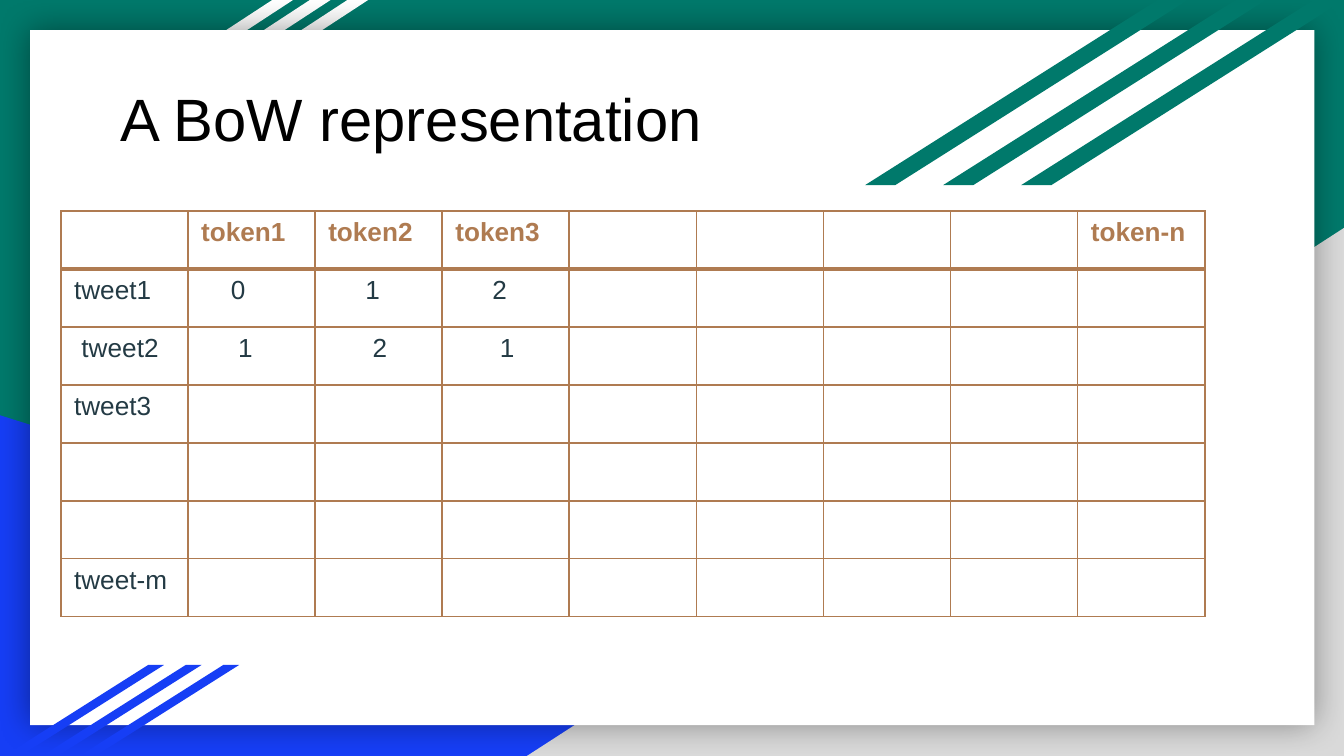
from lxml import etree
from pptx import Presentation
from pptx.dml.color import RGBColor
from pptx.enum.shapes import MSO_SHAPE
from pptx.oxml.ns import qn
from pptx.util import Cm, Pt

TRIANGLE = MSO_SHAPE.RIGHT_TRIANGLE
PARALLELOGRAM = MSO_SHAPE.PARALLELOGRAM
RECTANGLE = MSO_SHAPE.RECTANGLE

GREEN = RGBColor(0x00, 0x79, 0x6B)
BLUE = RGBColor(0x16, 0x3E, 0xF5)
GREY = RGBColor(0xD9, 0xD9, 0xD9)
WHITE = RGBColor(0xFF, 0xFF, 0xFF)
BLACK = RGBColor(0x00, 0x00, 0x00)
BROWN = RGBColor(0xAF, 0x7B, 0x51)
SLATE = RGBColor(0x23, 0x3A, 0x44)

FONT = "Arial"
CELL_MARGIN = 0.25
SPACE_WIDTH = 0.14
COLUMN_COUNT = 9
ROW_COUNT = 7
HEADINGS = {1: "token1", 2: "token2", 3: "token3", 8: "token-n"}
ROW_LABELS = {1: ("tweet1", 0), 2: ("tweet2", 1), 3: ("tweet3", 0), 6: ("tweet-m", 0)}
COUNTS = {
    (1, 1): ("0", 4), (1, 2): ("1", 5), (1, 3): ("2", 5),
    (2, 1): ("1", 5), (2, 2): ("2", 6), (2, 3): ("1", 6),
}


def add_filled_shape(slide, kind, box, color):
    """Add a borderless, shadowless shape in a box given in centimetres."""
    shape = slide.shapes.add_shape(kind, *map(Cm, box))
    shape.shadow.inherit = False
    shape.fill.solid()
    shape.fill.fore_color.rgb = color
    shape.line.fill.background()
    return shape


def add_corners(slide, box):
    """Add the blue left and grey right triangles along the bottom of the box."""
    left, top, width, height = box
    bottom, right = top + height, left + width
    add_filled_shape(slide, TRIANGLE, (left, bottom - 6.44, 20.47, 6.44), BLUE)
    grey_corner = add_filled_shape(
        slide, TRIANGLE, (right - 15.44, bottom - 9.98, 15.44, 9.98), GREY)
    grey_corner._element.spPr.find(qn("a:xfrm")).set("flipH", "1")


def add_stripes(slide, box, stripe_width, slant, color):
    """Add three slanted stripes spread evenly across the box."""
    left, top, width, height = box
    step = (width - stripe_width) / 2
    for index in reversed(range(3)):
        stripe_box = (left + index * step, top, stripe_width, height)
        stripe = add_filled_shape(slide, PARALLELOGRAM, stripe_box, color)
        stripe.adjustments[0] = slant


def add_panel(slide, box):
    """Add the white panel with a soft shadow all around."""
    panel = add_filled_shape(slide, RECTANGLE, box, WHITE)
    effects = panel._element.spPr.find(qn("a:effectLst"))
    shadow = etree.SubElement(
        effects, qn("a:outerShdw"), blurRad=str(Pt(18)), dist="0", dir="0",
        algn="ctr", rotWithShape="0")
    shadow_color = etree.SubElement(shadow, qn("a:srgbClr"), val=str(BLACK))
    etree.SubElement(shadow_color, qn("a:alpha"), val="40000")


def add_title(slide, box):
    """Add the slide title."""
    text_frame = slide.shapes.add_textbox(*map(Cm, box)).text_frame
    text_frame.word_wrap = True
    paragraph = text_frame.paragraphs[0]
    paragraph.text = "A BoW representation"
    paragraph.font.name = FONT
    paragraph.font.size = Pt(32)
    paragraph.font.color.rgb = BLACK


def set_borders(cell, widths):
    """Draw the cell borders, with widths in points for each side."""
    properties = cell._tc.get_or_add_tcPr()
    for side in ("L", "R", "T", "B"):
        line = etree.SubElement(
            properties, qn(f"a:ln{side}"), w=str(Pt(widths.get(side, 1))))
        fill = etree.SubElement(line, qn("a:solidFill"))
        etree.SubElement(fill, qn("a:srgbClr"), val=str(BROWN))


def cell_content(row, column):
    """Return the text of a cell and its indent in spaces."""
    if row == 0:
        return HEADINGS.get(column, ""), 0
    if column == 0:
        return ROW_LABELS.get(row, ("", 0))
    return COUNTS.get((row, column), ("", 0))


def style_cell(cell, row, column):
    """Fill in the text, font, borders and background of one cell."""
    text, indent = cell_content(row, column)
    is_heading = row == 0
    set_borders(cell, {"B": 3} if is_heading else {"T": 3} if row == 1 else {})
    cell.fill.solid()
    cell.fill.fore_color.rgb = WHITE
    cell.margin_left = Cm(CELL_MARGIN + indent * SPACE_WIDTH)
    paragraph = cell.text_frame.paragraphs[0]
    paragraph.text = text
    paragraph.font.name = FONT
    paragraph.font.size = Pt(14)
    paragraph.font.bold = is_heading
    paragraph.font.color.rgb = BROWN if is_heading else SLATE


def add_token_table(slide, box):
    """Add the table of token counts for each tweet."""
    table = slide.shapes.add_table(ROW_COUNT, COLUMN_COUNT, *map(Cm, box)).table
    table.first_row = False
    table.horz_banding = False
    for row in range(ROW_COUNT):
        for column in range(COLUMN_COUNT):
            style_cell(table.cell(row, column), row, column)


def main():
    """Build and save the slide."""
    presentation = Presentation()
    presentation.slide_width = Cm(25.4)
    presentation.slide_height = Cm(14.29)
    slide = presentation.slides.add_slide(presentation.slide_layouts[6])
    slide.background.fill.solid()
    slide.background.fill.fore_color.rgb = GREEN

    add_corners(slide, (0, 0, 25.4, 14.29))
    add_stripes(slide, (0.71, 0, 6.25, 2.9), 4.83, 1.53, WHITE)
    add_panel(slide, (0.57, 0.57, 24.27, 13.14))
    add_stripes(slide, (0.1, 12.57, 4.42, 1.71), 3, 1.58, BLUE)
    add_stripes(slide, (16.35, 0, 9.05, 3.5), 6.1, 1.58, GREEN)
    add_token_table(slide, (1.15, 3.99, 21.62, 7.67))
    add_title(slide, (2.03, 1.42, 17.53, 1.63))
    presentation.save("out.pptx")


if __name__ == "__main__":
    main()
